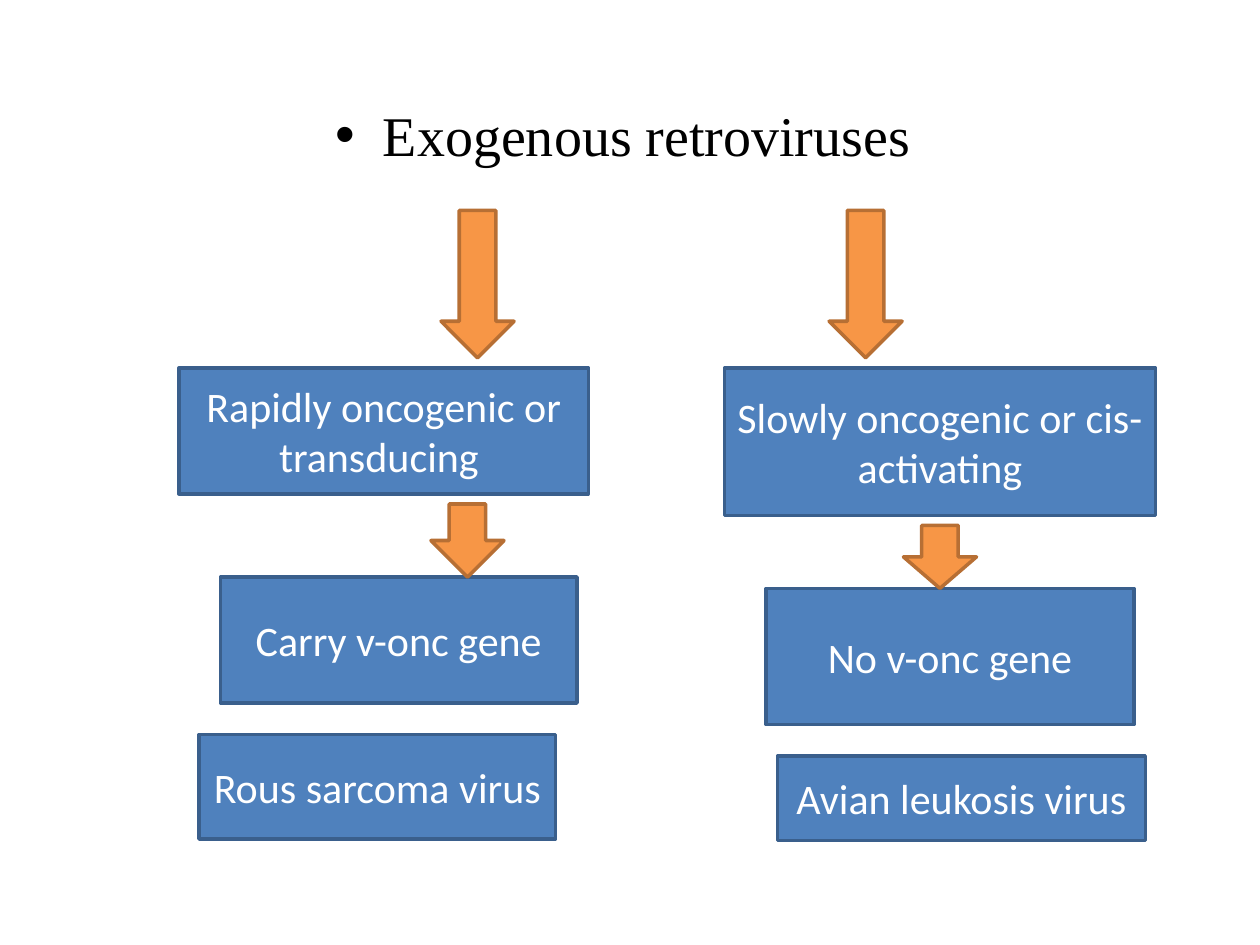
from dataclasses import dataclass

from lxml.etree import SubElement
from pptx import Presentation
from pptx.dml.color import RGBColor
from pptx.enum.shapes import MSO_SHAPE
from pptx.enum.text import MSO_ANCHOR, PP_ALIGN
from pptx.oxml.ns import qn
from pptx.util import Inches, Pt


@dataclass(frozen=True)
class Theme:
    box_fill: str = "4F81BD"
    box_line: str = "3A5F8C"
    arrow_fill: str = "F79646"
    arrow_line: str = "B76F34"
    box_text: str = "FFFFFF"
    heading_text: str = "000000"
    box_font: str = "Calibri"
    heading_font: str = "Times New Roman"
    box_size: int = 24
    heading_size: int = 32
    line_width: int = 2


class Diagram:
    def __init__(self, slide, theme):
        self.slide = slide
        self.theme = theme

    def centered_text(self, paragraph, text, font, size, color):
        paragraph.alignment = PP_ALIGN.CENTER
        run = paragraph.add_run()
        run.text = text
        for name, value in {"name": font, "size": Pt(size)}.items():
            setattr(run.font, name, value)
        run.font.color.rgb = RGBColor.from_string(color)

    def heading(self, text, bounds):
        theme = self.theme
        frame = self.slide.shapes.add_textbox(*map(Inches, bounds)).text_frame
        frame.word_wrap = True
        paragraph = frame.paragraphs[0]
        self.centered_text(paragraph, text, theme.heading_font,
                           theme.heading_size, theme.heading_text)
        paragraph.space_before = Pt(0.2 * theme.heading_size)
        properties = paragraph._p.get_or_add_pPr()
        hanging = Inches(0.38)
        for name, value in {"marL": hanging, "indent": -hanging}.items():
            properties.set(name, str(int(value)))
        SubElement(properties, qn("a:buFont"), typeface="Arial")
        SubElement(properties, qn("a:buChar"), char="•")

    def preset(self, kind, bounds, fill, line):
        shape = self.slide.shapes.add_shape(kind, *map(Inches, bounds))
        shape.shadow.inherit = False
        shape.fill.solid()
        shape.fill.fore_color.rgb = RGBColor.from_string(fill)
        shape.line.color.rgb = RGBColor.from_string(line)
        shape.line.width = Pt(self.theme.line_width)
        return shape

    def box(self, text, bounds):
        theme = self.theme
        frame = self.preset(MSO_SHAPE.RECTANGLE, bounds,
                            theme.box_fill, theme.box_line).text_frame
        for name, value in {"word_wrap": True,
                            "vertical_anchor": MSO_ANCHOR.MIDDLE}.items():
            setattr(frame, name, value)
        self.centered_text(frame.paragraphs[0], text, theme.box_font,
                           theme.box_size, theme.box_text)

    def arrow(self, left, top, height):
        self.preset(MSO_SHAPE.DOWN_ARROW, (left, top, 0.58, height),
                    self.theme.arrow_fill, self.theme.arrow_line)


def main():
    presentation = Presentation()
    presentation.slide_width = Inches(10)
    presentation.slide_height = Inches(7.5)
    slide = presentation.slides.add_slide(presentation.slide_layouts[6])
    diagram = Diagram(slide, Theme())

    diagram.heading("Exogenous retroviruses ", (0.5, 0.75, 9, 4.95))

    boxes = [
        ("Rapidly oncogenic or transducing ", (1.42, 2.92, 3.25, 1)),
        ("Slowly oncogenic or cis-activating", (5.75, 2.92, 3.42, 1.17)),
        ("Carry v-onc gene", (1.75, 4.58, 2.83, 1)),
        ("No v-onc gene", (6.08, 4.67, 2.92, 1.08)),
        ("Rous sarcoma virus", (1.58, 5.83, 2.83, 0.83)),
        ("Avian leukosis virus", (6.17, 6, 2.92, 0.67)),
    ]
    for text, bounds in boxes:
        diagram.box(text, bounds)

    arrows = [(3.5, 1.67, 1.17), (6.58, 1.67, 1.17),
              (3.42, 4, 0.58), (7.17, 4.17, 0.5)]
    for left, top, height in arrows:
        diagram.arrow(left, top, height)

    presentation.save("out.pptx")


if __name__ == "__main__":
    main()
